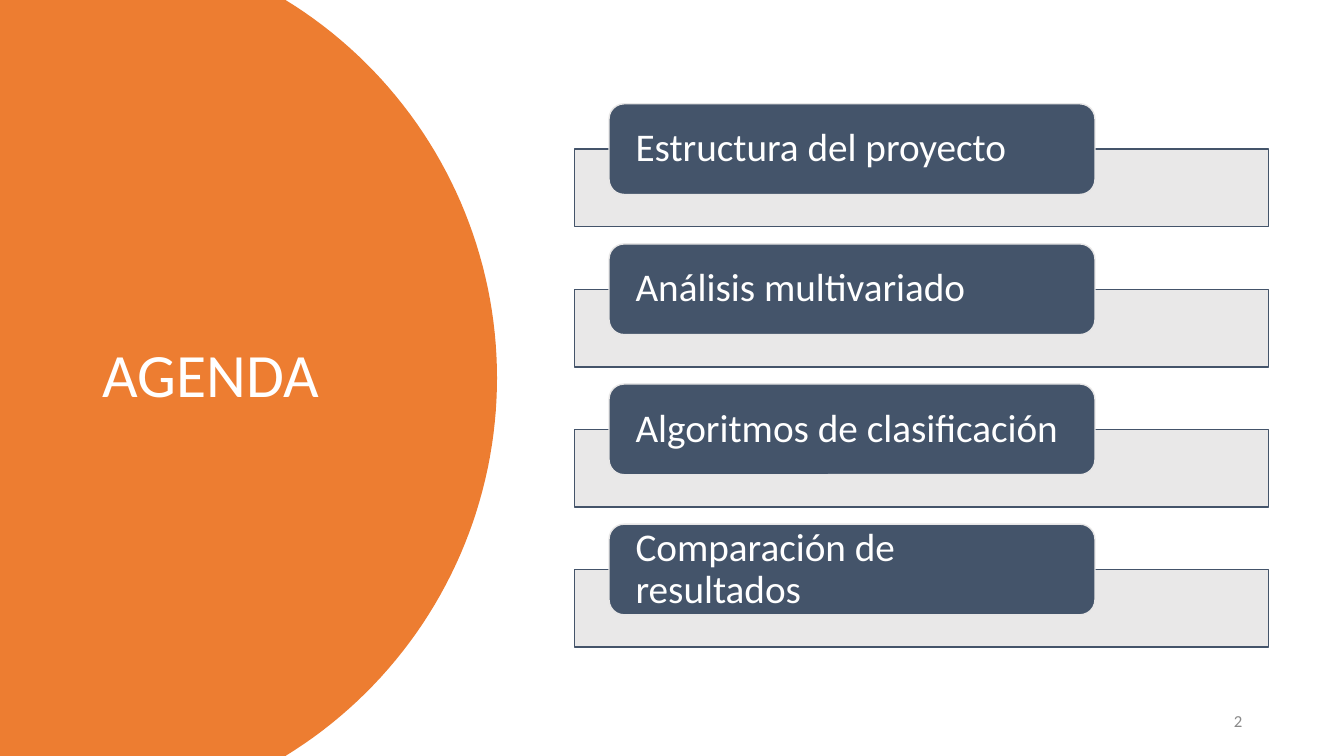
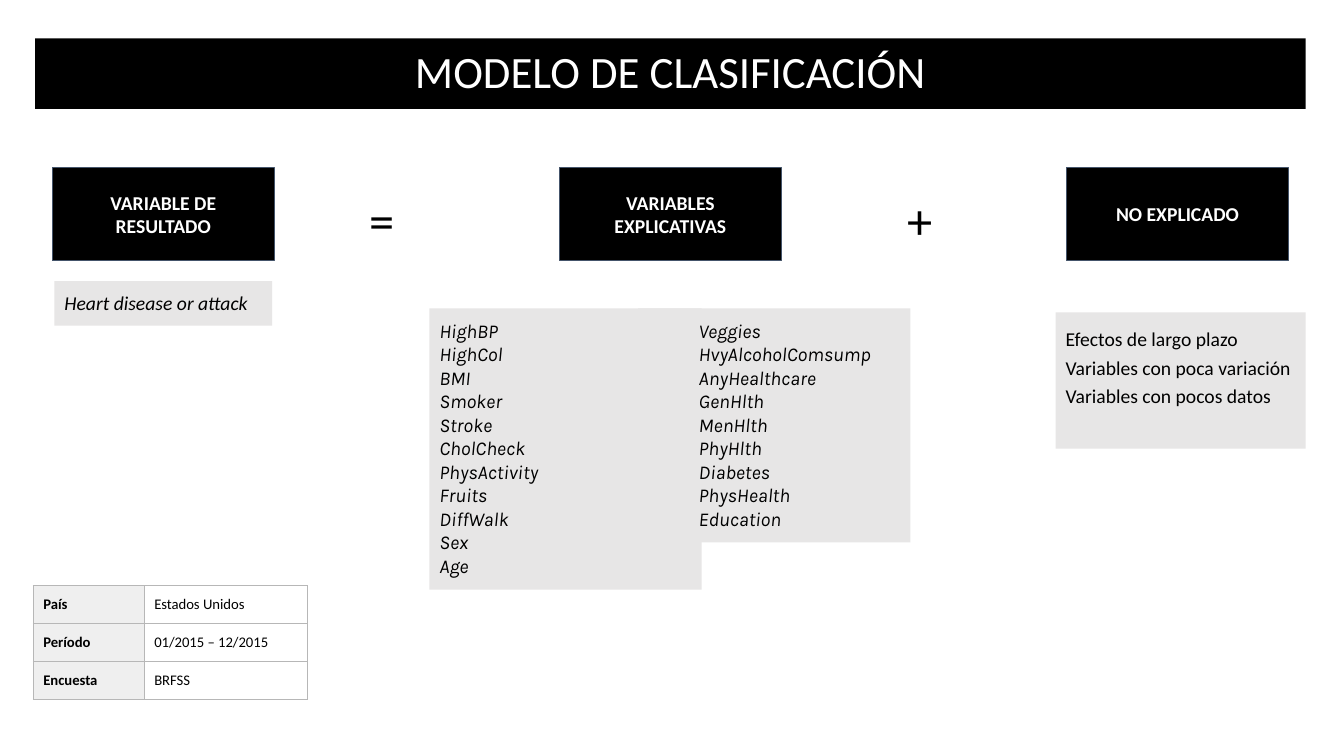
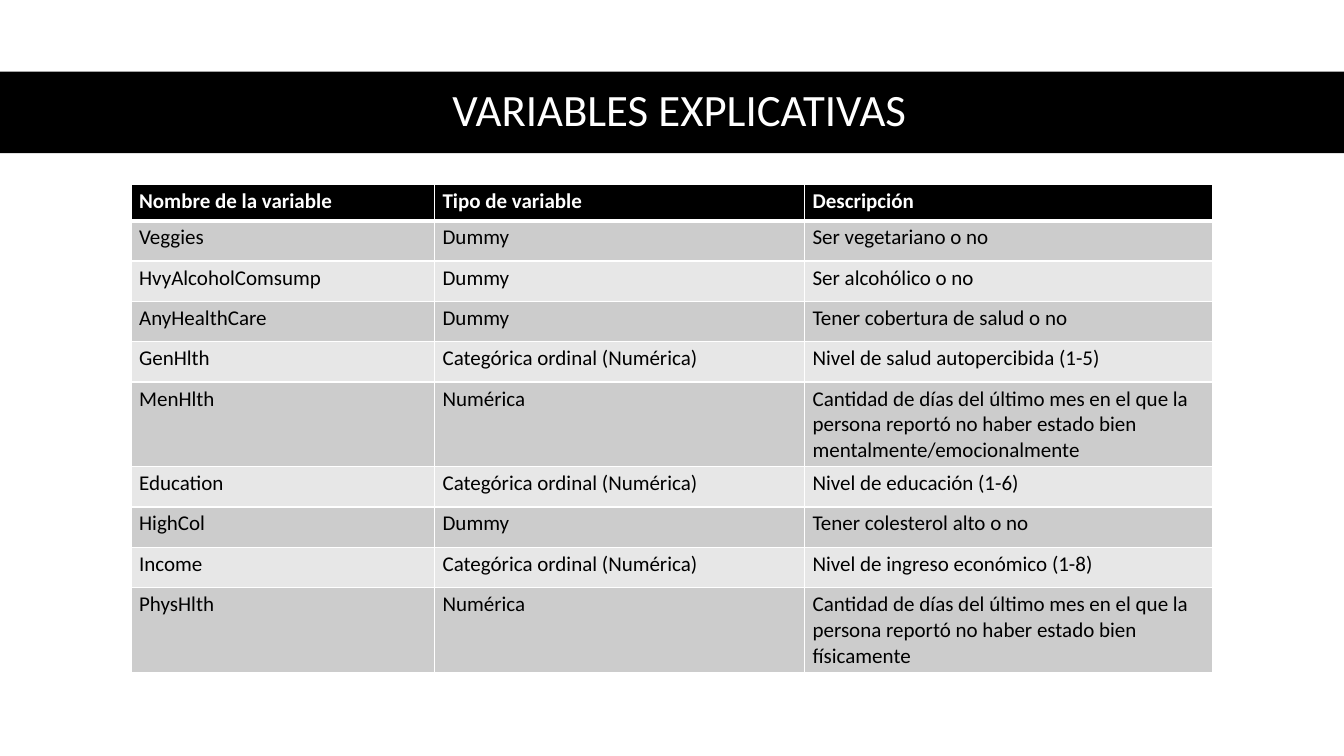
import math

import lxml.etree
import pptx
import pptx.dml.color
import pptx.enum.shapes
import pptx.enum.text
import pptx.oxml.ns
import pptx.util

SCALE = 9144
FONT = "Calibri"
COLORS = {
    "white": "FFFFFF",
    "black": "000000",
    "orange": "ED7D31",
    "slate": "44546A",
    "pale": "E7E6E6",
    "muted": "898989",
    "label": "EFEFEF",
    "grid": "B7B7B7",
    "odd": "CCCCCC",
    "even": "E7E7E7",
}
ALIGN = pptx.enum.text.PP_ALIGN
ANCHOR = pptx.enum.text.MSO_ANCHOR
SHAPE = pptx.enum.shapes.MSO_SHAPE


def px(count):
    return pptx.util.Emu(round(count * SCALE))


def tint(name):
    return pptx.dml.color.RGBColor.from_string(COLORS[name])


def tag(parent, name, **attrs):
    return lxml.etree.SubElement(parent, pptx.oxml.ns.qn(name), **attrs)


class Deck:
    def __init__(self, width, height):
        self.show = pptx.Presentation()
        self.show.slide_width = px(width)
        self.show.slide_height = px(height)
        self.slide = None

    def page(self):
        self.slide = self.show.slides.add_slide(self.show.slide_layouts[6])

    def say(self, frame, text, size, color="black", bold=False, italic=False,
            align=ALIGN.LEFT, space=None, font=FONT):
        frame.text = text
        frame.word_wrap = True
        for line in frame.paragraphs:
            line.alignment = align
            line.line_spacing = space
            for run in line.runs:
                run.font.name = font
                run.font.size = pptx.util.Pt(size)
                run.font.bold = bold
                run.font.italic = italic
                run.font.color.rgb = tint(color)

    def inset(self, item, left, top, right, bottom):
        item.margin_left, item.margin_top = px(left), px(top)
        item.margin_right, item.margin_bottom = px(right), px(bottom)

    def text(self, area, text, size, anchor=ANCHOR.TOP, inset=(10, 10, 10, 10), **style):
        frame = self.slide.shapes.add_textbox(*map(px, area)).text_frame
        self.say(frame, text, size, **style)
        self.inset(frame, *inset)
        frame.vertical_anchor = anchor

    def paint(self, shape, fill, line=None, weight=1):
        shape.shadow.inherit = False
        shape.fill.solid()
        shape.fill.fore_color.rgb = tint(fill)
        if line:
            shape.line.color.rgb = tint(line)
            shape.line.width = pptx.util.Pt(weight)
        else:
            shape.line.fill.background()

    def box(self, area, fill, text=None, size=14, line=None, weight=1, kind=SHAPE.RECTANGLE,
            anchor=ANCHOR.MIDDLE, inset=(10, 10, 10, 10), **style):
        shape = self.slide.shapes.add_shape(kind, *map(px, area))
        self.paint(shape, fill, line, weight)
        if text:
            self.say(shape.text_frame, text, size, **style)
            self.inset(shape.text_frame, *inset)
            shape.text_frame.vertical_anchor = anchor
        return shape

    def fade(self, shape, share):
        color = shape.fill._xPr.find(".//" + pptx.oxml.ns.qn("a:srgbClr"))
        tag(color, "a:alpha", val=str(share * 1000))

    def head(self, area, text, inset=(10, 5, 10, 5)):
        self.box(area, "black", text, 32, color="white", align=ALIGN.CENTER,
                 space=0.9, inset=inset)

    def disc(self, center, middle, radius, fill):
        sweep = math.asin(middle / radius)
        steps = 80
        turns = [sweep * (2 * step / steps - 1) for step in range(steps + 1)]
        rim = [(px(center + radius * math.cos(turn)), px(middle + radius * math.sin(turn)))
               for turn in turns]
        form = self.slide.shapes.build_freeform(0, 0)
        form.add_line_segments(rim + [(0, px(2 * middle))], close=True)
        self.paint(form.convert_to_shape(), fill)

    def edge(self, cell, side, color, weight):
        line = tag(cell._tc.get_or_add_tcPr(), "a:" + side,
                   w=str(pptx.util.Pt(weight)))
        tag(tag(line, "a:solidFill"), "a:srgbClr", val=COLORS[color])

    def table(self, left, top, widths, heights, rows, look, size, inset, color, weight):
        area = (left, top, sum(widths), sum(heights))
        table = self.slide.shapes.add_table(len(rows), len(widths), *map(px, area)).table
        for column, width in zip(table.columns, widths):
            column.width = px(width)
        for row, height in zip(table.rows, heights):
            row.height = px(height)
        for y, row in enumerate(rows):
            for x, text in enumerate(row):
                cell = table.cell(y, x)
                fill, ink, bold, base = look(y, x)
                self.say(cell.text_frame, text, size, color=ink, bold=bold)
                self.inset(cell, *inset)
                above = look(y - 1, x)[3] if y else weight
                for side, thick in (("lnL", weight), ("lnR", weight),
                                    ("lnT", above), ("lnB", base)):
                    self.edge(cell, side, color, thick)
                if fill:
                    cell.fill.solid()
                    cell.fill.fore_color.rgb = tint(fill)
                else:
                    cell.fill.background()


def agenda(deck):
    deck.page()
    deck.disc(53, 375, 440, "orange")
    deck.text((92, 70, 323, 609), "AGENDA", 44, ANCHOR.MIDDLE, color="white", space=0.9)
    deck.text((942, 695, 300, 40), "2", 12, ANCHOR.MIDDLE, (10, 5, 10, 5),
              color="muted", align=ALIGN.RIGHT)
    topics = ["Estructura del proyecto", "Análisis multivariado",
              "Algoritmos de clasificación", "Comparación de resultados"]
    for index, topic in enumerate(topics):
        top = 103 + 139 * index
        bar = deck.box((570, top + 45, 688, 77), "pale", line="slate")
        deck.fade(bar, 90)
        deck.box((604, top, 482, 90), "slate", topic, 28, line="pale",
                 kind=SHAPE.ROUNDED_RECTANGLE, inset=(22, 4, 22, 4),
                 color="white", space=0.9)


def model(deck):
    deck.page()
    parts = ["VARIABLE DE RESULTADO", "VARIABLES EXPLICATIVAS", "NO EXPLICADO"]
    for index, part in enumerate(parts):
        deck.box((52 + 503 * index, 166, 220, 93), "black", part, line="slate", weight=0.75,
                 color="white", bold=True, align=ALIGN.CENTER)
    deck.box((54, 279, 216, 44), "pale", "Heart disease or attack",
             anchor=ANCHOR.TOP, italic=True)
    limits = ["Efectos de largo plazo", "Variables con poca variación",
              "Variables con pocos datos"]
    deck.box((1047, 310, 248, 135), "pale", "\n".join(limits), anchor=ANCHOR.TOP, space=1.2)
    for left, sign in ((357, "="), (890, "+")):
        deck.text((left, 178, 42, 81), sign, 36)
    facts = [("País", "Estados Unidos"), ("Período", "01/2015 – 12/2015"),
             ("Encuesta", "BRFSS")]

    def look(y, x):
        return None if x else "label", "black", x == 0, 0.75

    deck.table(33, 581, (110, 162), [37] * 3, facts, look, 10.5,
               (10, 10, 10, 10), "grid", 0.75)
    deck.head((35, 38, 1260, 70), "MODELO DE CLASIFICACIÓN")
    first = ["HighBP", "HighCol", "BMI", "Smoker", "Stroke", "CholCheck",
             "PhysActivity", "Fruits", "DiffWalk", "Sex", "Age"]
    second = ["Veggies", "HvyAlcoholComsump", "AnyHealthcare", "GenHlth", "MenHlth",
              "PhyHlth", "Diabetes", "PhysHealth", "Education"]
    for left, height, names, indent in ((426, 279, first, 10), (633, 232, second, 60)):
        deck.box((left, 306, 270, height), "pale", "\n".join(names), anchor=ANCHOR.TOP,
                 inset=(indent, 10, 10, 10), italic=True, font="Karla")


def fields(deck):
    deck.page()
    deck.head((0, 71, 1333, 81), "VARIABLES EXPLICATIVAS", (71, 5, 56, 5))
    ordinal = "Categórica ordinal (Numérica)"
    days = "Cantidad de días del último mes en el que la persona reportó no haber estado bien "
    rows = [
        ("Nombre de la variable", "Tipo de variable", "Descripción"),
        ("Veggies", "Dummy", "Ser vegetariano o no"),
        ("HvyAlcoholComsump", "Dummy", "Ser alcohólico o no"),
        ("AnyHealthCare", "Dummy", "Tener cobertura de salud o no"),
        ("GenHlth", ordinal, "Nivel de salud autopercibida (1-5)"),
        ("MenHlth", "Numérica", days + "mentalmente/emocionalmente"),
        ("Education", ordinal, "Nivel de educación (1-6)"),
        ("HighCol", "Dummy", "Tener colesterol alto o no"),
        ("Income", ordinal, "Nivel de ingreso económico (1-8)"),
        ("PhysHlth", "Numérica", days + "físicamente"),
    ]

    def look(y, x):
        if y == 0:
            return "black", "white", True, 3
        return "odd" if y % 2 else "even", "black", False, 1

    heights = [36] + [84 if row[2].startswith(days) else 40 for row in rows[1:]]
    deck.table(130, 183, (301, 367, 405), heights, rows, look, 15, (8, 4, 8, 4), "white", 1)


def main():
    deck = Deck(1333, 750)
    agenda(deck)
    model(deck)
    fields(deck)
    deck.show.save("out.pptx")


if __name__ == "__main__":
    main()
